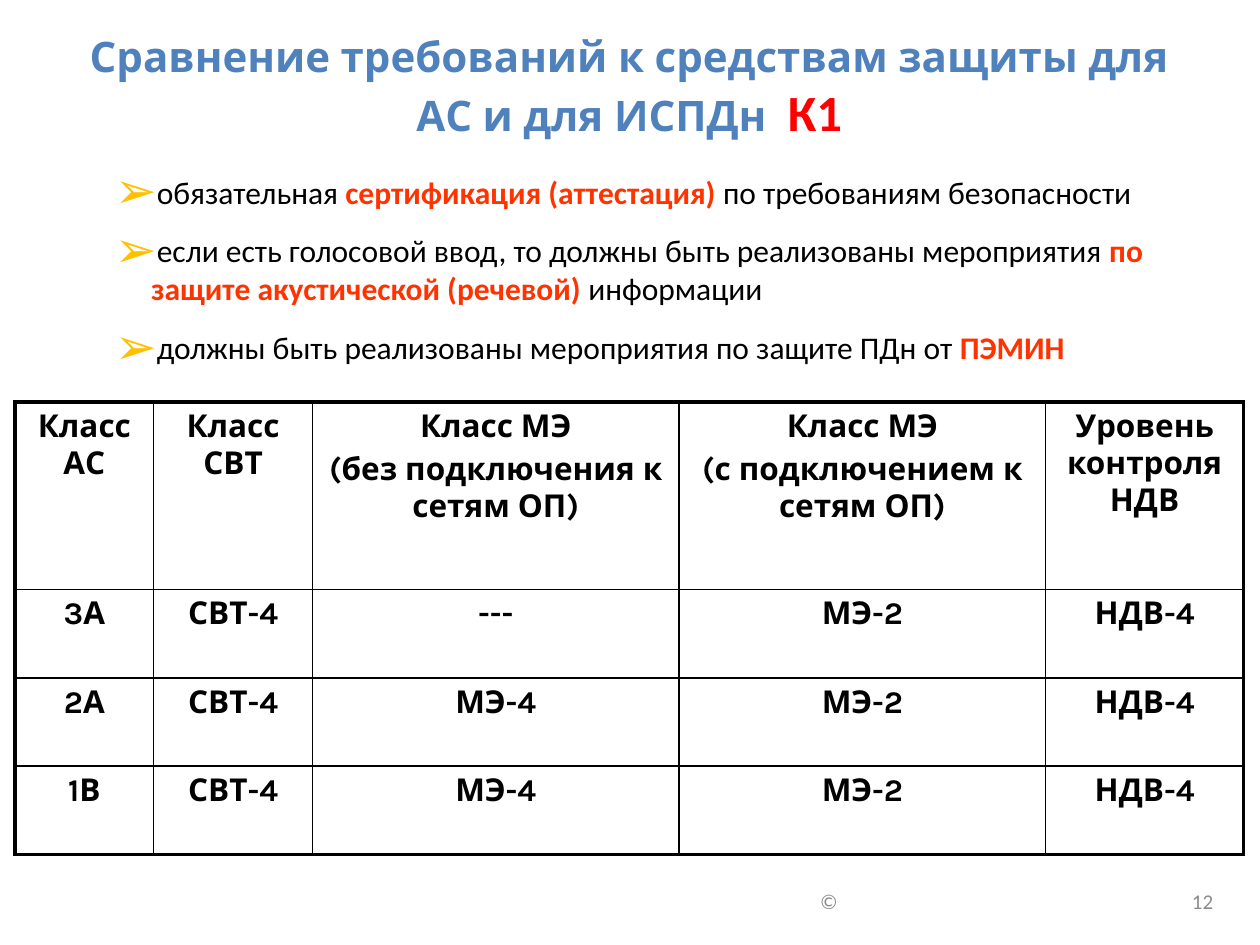
"""Build a slide comparing protection requirements for automated systems of class K1."""
import pptx
import pptx.dml.color
import pptx.enum.text
import pptx.oxml
import pptx.oxml.ns
import pptx.util
from lxml import etree

Inches = pptx.util.Inches
Pt = pptx.util.Pt
ALIGN = pptx.enum.text.PP_ALIGN
ANCHOR = pptx.enum.text.MSO_ANCHOR
COLORS = {
    "title": "4F81BD",
    "class": "FF0000",
    "accent": "FF3300",
    "bullet": "FFC000",
    "text": "000000",
    "footer": "8C8C8C",
}


def add_run(paragraph, text, size, color, bold=False, font="Calibri"):
    run = paragraph.add_run()
    run.text = text
    run.font.name = font
    run.font.size = Pt(size)
    run.font.bold = bold
    run.font.color.rgb = pptx.dml.color.RGBColor.from_string(COLORS[color])


def add_xml(parent, xml):
    namespace = pptx.oxml.ns.nsdecls("a")
    for element in pptx.oxml.parse_xml(f"<a:holder {namespace}>{xml}</a:holder>"):
        parent.append(element)
    etree.cleanup_namespaces(parent)


presentation = pptx.Presentation()
presentation.slide_width = Inches(10)
presentation.slide_height = Inches(7.5)
slide = presentation.slides.add_slide(presentation.slide_layouts[1])

title = slide.shapes.title
title.left, title.top, title.width, title.height = map(Inches, (0.43, 0.15, 9.13, 1.06))
title.text_frame.auto_size = pptx.enum.text.MSO_AUTO_SIZE.NONE
title.text_frame.vertical_anchor = ANCHOR.MIDDLE
paragraph = title.text_frame.paragraphs[0]
paragraph.alignment = ALIGN.CENTER
add_run(paragraph, "Сравнение требований к средствам защиты для АС и для ИСПДн  ", 24, "title", True, "Karla")
add_run(paragraph, "К1", 29, "class", True)

requirements = [
    [("обязательная ", False), ("сертификация (аттестация) ", True), ("по требованиям безопасности", False)],
    [
        ("если есть голосовой ввод, то должны быть реализованы мероприятия ", False),
        ("по защите акустической (речевой) ", True),
        ("информации", False),
    ],
    [("должны быть реализованы мероприятия по защите ПДн от ", False), ("ПЭМИН", True)],
]
body = slide.placeholders[1]
body.left, body.top, body.width, body.height = map(Inches, (0.61, 1.32, 8.94, 1.71))
body.text_frame.auto_size = pptx.enum.text.MSO_AUTO_SIZE.NONE
for index, parts in enumerate(requirements):
    paragraph = body.text_frame.add_paragraph() if index else body.text_frame.paragraphs[0]
    paragraph.level = 1
    properties = paragraph._p.get_or_add_pPr()
    properties.set("marL", str(Inches(0.49)))
    properties.set("indent", str(Inches(-0.29)))
    add_xml(
        properties,
        f'<a:buClr><a:srgbClr val="{COLORS["bullet"]}"/></a:buClr>'
        '<a:buSzPct val="160000"/><a:buChar char="➢"/>',
    )
    paragraph.space_before = Pt(6 if index else 0)
    paragraph.space_after = Pt(6)
    for text, accented in parts:
        add_run(paragraph, text, 18, "accent" if accented else "text", accented)

rows = [
    [
        ["Класс АС"],
        ["Класс СВТ"],
        ["Класс МЭ", "(без подключения к сетям ОП)"],
        ["Класс МЭ", "(с подключением к сетям ОП)"],
        ["Уровень контроля НДВ"],
    ],
    [["3А"], ["СВТ-4"], ["---"], ["МЭ-2"], ["НДВ-4"]],
    [["2А"], ["СВТ-4"], ["МЭ-4"], ["МЭ-2"], ["НДВ-4"]],
    [["1В"], ["СВТ-4"], ["МЭ-4"], ["МЭ-2"], ["НДВ-4"]],
]
widths = [1.1, 1.26, 2.91, 2.91, 1.57]
heights = [1.49, 0.7, 0.7, 0.7]
frame = slide.shapes.add_table(
    len(rows), len(widths), Inches(0.12), Inches(3.19), Inches(sum(widths)), Inches(sum(heights))
)
table = frame.table
table.first_row = False
table.horz_banding = False
for column, width in zip(table.columns, widths):
    column.width = Inches(width)
for row, height in zip(table.rows, heights):
    row.height = Inches(height)

for row_index, row in enumerate(rows):
    for column_index, lines in enumerate(row):
        cell = table.cell(row_index, column_index)
        outer_edges = {
            "L": column_index == 0,
            "R": column_index == len(widths) - 1,
            "T": row_index == 0,
            "B": row_index == len(rows) - 1,
        }
        for side, outer in outer_edges.items():
            add_xml(
                cell._tc.get_or_add_tcPr(),
                f'<a:ln{side} w="{Pt(2.25 if outer else 1)}"><a:solidFill>'
                f'<a:srgbClr val="{COLORS["text"]}"/></a:solidFill></a:ln{side}>',
            )
        cell.fill.background()
        for index, line in enumerate(lines):
            paragraph = cell.text_frame.add_paragraph() if index else cell.text_frame.paragraphs[0]
            paragraph.alignment = ALIGN.CENTER
            paragraph.space_before = Pt(3.6 if index else 0)
            add_run(paragraph, line, 18, "text", True, "Karla")

footer = slide.shapes.add_textbox(Inches(5.13), Inches(6.95), Inches(4.61), Inches(0.4))
footer.text_frame.word_wrap = True
footer.text_frame.vertical_anchor = ANCHOR.MIDDLE
paragraph = footer.text_frame.paragraphs[0]
add_xml(
    paragraph._p.get_or_add_pPr(),
    f'<a:tabLst><a:tab pos="{Inches(1.28)}" algn="l"/><a:tab pos="{Inches(4.4)}" algn="r"/></a:tabLst>',
)
add_run(paragraph, "\t©\t12", 12, "footer")

presentation.save("out.pptx")
